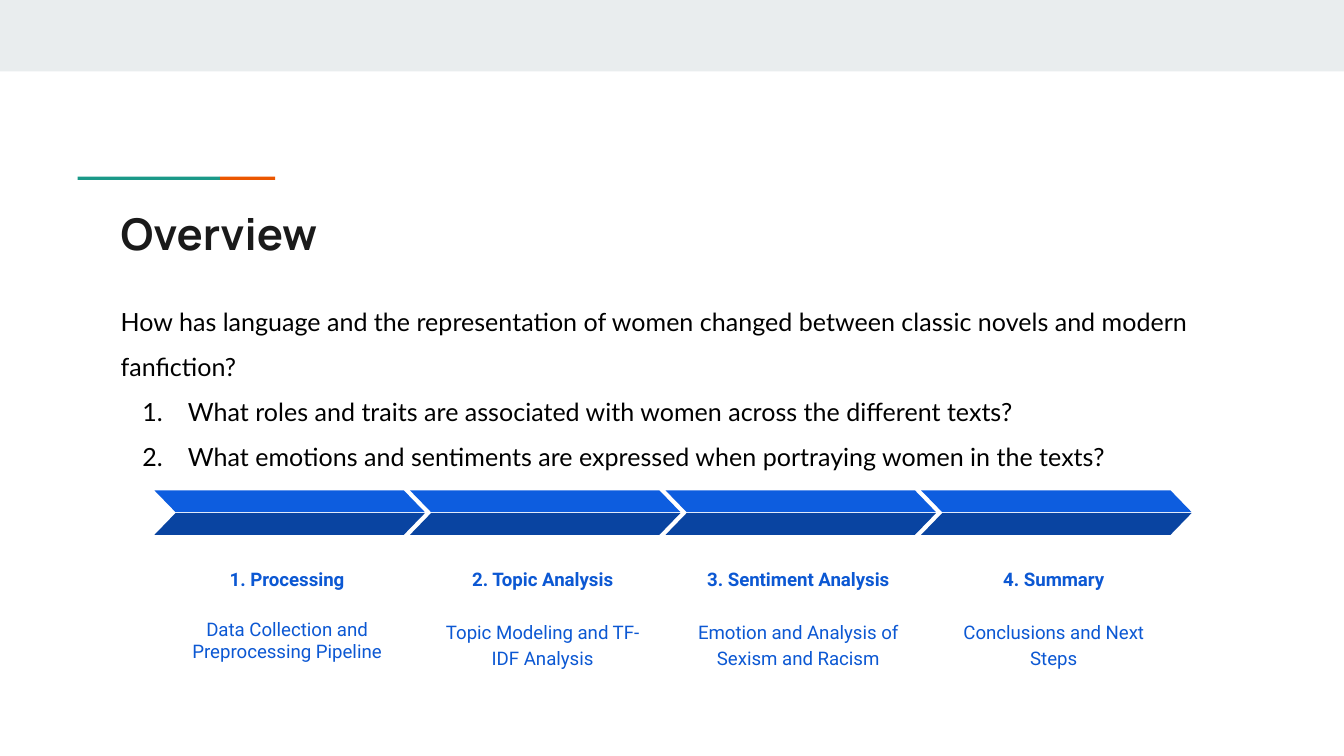
import dataclasses

import lxml.etree
import pptx
import pptx.dml.color
import pptx.enum.shapes
import pptx.enum.text
import pptx.oxml.ns
import pptx.util

Cm = pptx.util.Cm
Pt = pptx.util.Pt
Kind = pptx.enum.shapes.MSO_SHAPE
Align = pptx.enum.text.PP_ALIGN
Anchor = pptx.enum.text.MSO_ANCHOR


@dataclasses.dataclass(frozen=True)
class Theme:
    """Colours, fonts and type sizes of the slide."""
    band: str = "E9EDEE"
    green: str = "1A9988"
    orange: str = "EB5600"
    ink: str = "1A1A1A"
    black: str = "000000"
    light: str = "0D5DDF"
    dark: str = "0944A1"
    label: str = "0C58D3"
    head_font: str = "Manrope"
    body_font: str = "Lato"
    step_font: str = "Roboto"
    head_size: float = 23.4
    body_size: float = 13.4
    step_size: float = 10


THEME = Theme()
QUESTION = ("How has language and the representation of women changed "
            "between classic novels and modern fanfiction?")
POINTS = (
    "What roles and traits are associated with women across the different texts?",
    "What emotions and sentiments are expressed when portraying women in the texts?",
)
STEPS = (
    ("1. Processing", "Data Collection and Preprocessing Pipeline", 1.0),
    ("2. Topic Analysis", "Topic Modeling and TF-IDF Analysis", 1.15),
    ("3. Sentiment Analysis", "Emotion and Analysis of Sexism and Racism", 1.15),
    ("4. Summary", "Conclusions and Next Steps", 1.15),
)


def paint(slide, kind, box, fill):
    """Add a flat filled shape in the box."""
    shape = slide.shapes.add_shape(kind, *map(Cm, box))
    shape.fill.solid()
    shape.fill.fore_color.rgb = pptx.dml.color.RGBColor.from_string(fill)
    shape.line.fill.background()
    shape.shadow.inherit = False
    return shape


def place(shape, box):
    """Move a placeholder into the box."""
    shape.left, shape.top, shape.width, shape.height = map(Cm, box)


def frame(shape, anchor):
    """Give a text frame its insets, wrapping and anchor."""
    text = shape.text_frame
    text.word_wrap = True
    text.auto_size = pptx.enum.text.MSO_AUTO_SIZE.NONE
    text.vertical_anchor = anchor
    text.margin_left = text.margin_right = Cm(0.25)
    text.margin_top = text.margin_bottom = Cm(0.25)
    return text


def style(para, font, size, color, bold=False, align=Align.LEFT, lines=1.0):
    """Format a paragraph and its runs."""
    para.alignment = align
    para.line_spacing = lines
    para.space_before = Pt(0)
    for run in para.runs:
        run.font.name = font
        run.font.size = Pt(size)
        run.font.bold = bold
        run.font.color.rgb = pptx.dml.color.RGBColor.from_string(color)


def mark(para, number):
    """Set the indent and the optional number of a body paragraph."""
    props = para._p.get_or_add_pPr()
    props.set("marL", str(Cm(1.27 if number else 0)))
    props.set("indent", str(Cm(-0.86 if number else 0)))

    def add(host, tag, **attrs):
        return lxml.etree.SubElement(host, pptx.oxml.ns.qn(tag), **attrs)

    if number:
        add(add(props, "a:buClr"), "a:srgbClr", val=THEME.black)
        add(props, "a:buFont", typeface=THEME.body_font)
        add(props, "a:buAutoNum", type="arabicPeriod")
    else:
        add(props, "a:buNone")


def add_band(slide, box):
    """Draw the band along the top edge."""
    paint(slide, Kind.RECTANGLE, box, THEME.band)


def add_rule(slide, box):
    """Draw the two-colour rule above the title."""
    left, top, width, height = box
    part = width * 0.72
    paint(slide, Kind.RECTANGLE, (left + part, top, width - part, height), THEME.orange)
    paint(slide, Kind.RECTANGLE, (left, top, part, height), THEME.green)


def add_title(slide, box):
    """Fill the title placeholder."""
    title = slide.shapes.title
    place(title, box)
    text = frame(title, Anchor.MIDDLE)
    text.text = "Overview"
    style(text.paragraphs[0], THEME.head_font, THEME.head_size, THEME.ink, bold=True)


def add_body(slide, box):
    """Fill the body placeholder with the question and its points."""
    body = slide.placeholders[1]
    place(body, box)
    text = frame(body, Anchor.TOP)
    text.text = "\n".join((QUESTION, *POINTS))
    for index, para in enumerate(text.paragraphs):
        style(para, THEME.body_font, THEME.body_size, THEME.black, lines=1.5)
        mark(para, index > 0)


def add_label(slide, box, words, anchor, bold, lines):
    """Add a centred step text in the box."""
    text = frame(slide.shapes.add_textbox(*map(Cm, box)), anchor)
    text.text = words
    style(text.paragraphs[0], THEME.step_font, THEME.step_size, THEME.label,
          bold, Align.CENTER, lines)


def add_step(slide, box, name, detail, lines):
    """Draw one arrow with its name and detail below."""
    left, top, width, height = box
    half = 0.41
    for drop, fill in ((0, THEME.light), (0.43, THEME.dark)):
        arm = paint(slide, Kind.PARALLELOGRAM, (left, top + drop, width, half), fill)
        arm.adjustments[0] = 0.97
        if not drop:
            arm._element.spPr.xfrm.set("flipH", "1")
    add_label(slide, (left + 0.41, top + 0.89, width - 0.92, 1.24),
              name, Anchor.BOTTOM, True, 1.15)
    add_label(slide, (left + 0.36, top + 2.16, width - 0.82, height - 2.16),
              detail, Anchor.TOP, False, lines)


def add_flow(slide, box):
    """Lay the steps out at equal pitch across the box."""
    left, top, width, height = box
    wide = 5.11
    pitch = (width - wide) / (len(STEPS) - 1)
    for index, step in enumerate(STEPS):
        add_step(slide, (left + index * pitch, top, wide, height), *step)


def main():
    """Build and save the deck."""
    deck = pptx.Presentation()
    deck.slide_width, deck.slide_height = Cm(25.4), Cm(14.29)
    slide = deck.slides.add_slide(deck.slide_layouts[1])
    add_band(slide, (0, 0, 25.4, 1.35))
    add_rule(slide, (1.47, 3.34, 3.73, 0.06))
    add_title(slide, (2.03, 3.66, 21.36, 1.5))
    add_body(slide, (2.03, 5.26, 22.63, 6.27))
    add_flow(slide, (2.92, 9.27, 19.6, 4.22))
    deck.save("out.pptx")


if __name__ == "__main__":
    main()
